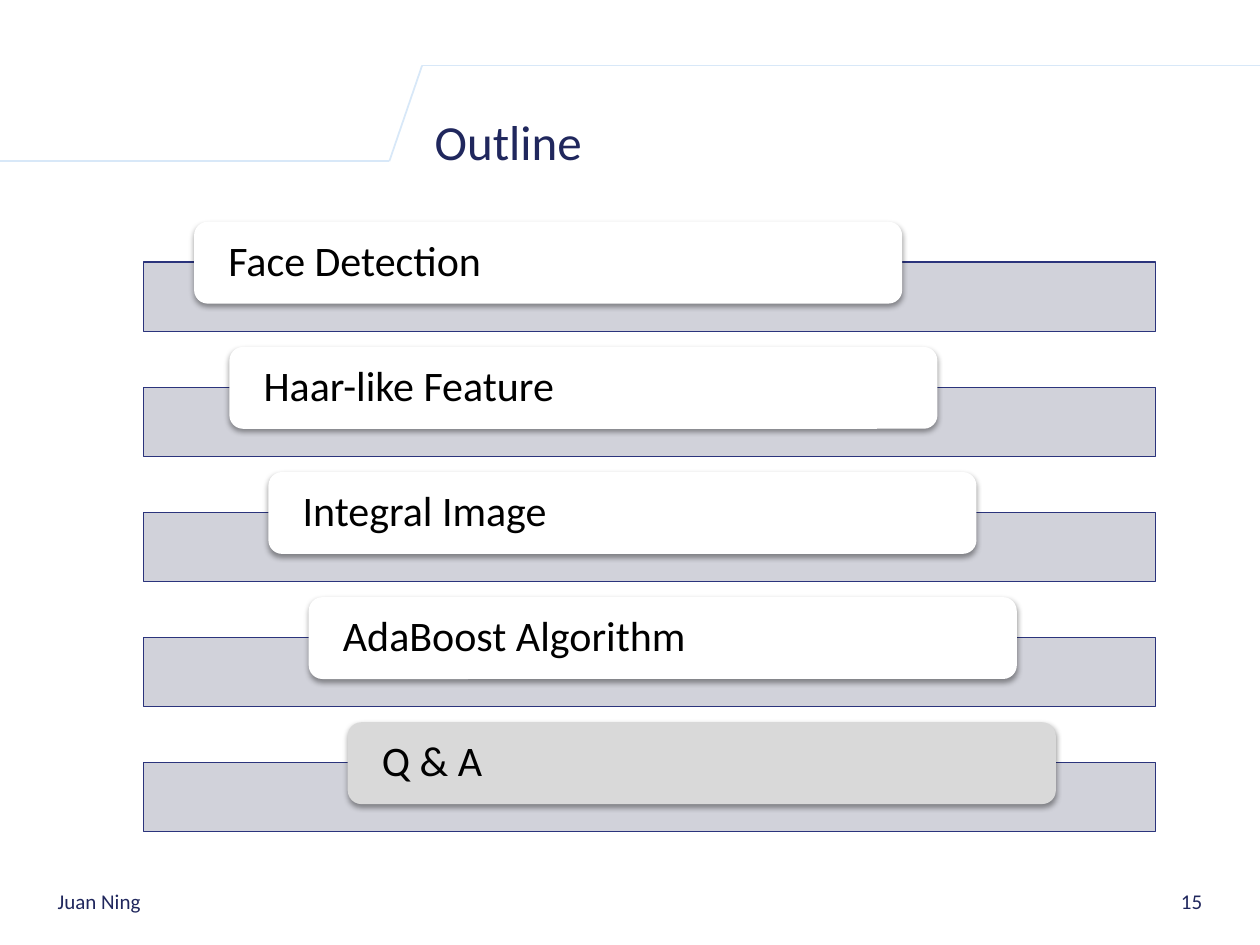
from lxml import etree
from pptx import Presentation
from pptx.dml.color import RGBColor
from pptx.enum.shapes import MSO_CONNECTOR, MSO_SHAPE
from pptx.enum.text import MSO_ANCHOR, PP_ALIGN
from pptx.oxml.ns import qn
from pptx.util import Inches, Pt

LEFT, RIGHT = PP_ALIGN.LEFT, PP_ALIGN.RIGHT
MIDDLE = MSO_ANCHOR.MIDDLE
RECT, ROUND = MSO_SHAPE.RECTANGLE, MSO_SHAPE.ROUNDED_RECTANGLE
STRAIGHT = MSO_CONNECTOR.STRAIGHT

NAVY = RGBColor(0x20, 0x27, 0x5D)
BLUE = RGBColor(0x2B, 0x34, 0x7C)
PALE = RGBColor(0xD8, 0xE8, 0xF8)
BAND = RGBColor(0xCD, 0xCE, 0xD7)
GREY = RGBColor(0xD9, 0xD9, 0xD9)
WHITE = RGBColor(0xFF, 0xFF, 0xFF)
BLACK = RGBColor(0x00, 0x00, 0x00)

RULE = [(0, 1.28), (3.09, 1.28), (3.35, 0.52), (10, 0.52)]
TOPICS = [
    ("Face Detection", 1.54, WHITE),
    ("Haar-like Feature", 1.82, WHITE),
    ("Integral Image", 2.13, WHITE),
    ("AdaBoost Algorithm", 2.45, WHITE),
    ("Q & A", 2.76, GREY),
]
TOP, STEP = 1.76, 0.993


def box(*sizes):
    return [Inches(size) for size in sizes]


def set_all(target, values):
    for name, value in values.items():
        setattr(target, name, value)


def write(shape, text, size, color, align=LEFT, inset=0.1, space=1.0):
    frame = shape.text_frame
    set_all(frame, {
        "text": text, "word_wrap": True, "vertical_anchor": MIDDLE,
        "margin_left": Inches(inset), "margin_right": Inches(inset),
        "margin_top": 0, "margin_bottom": 0,
    })
    para = frame.paragraphs[0]
    set_all(para, {"alignment": align, "line_spacing": space})
    font = para.runs[0].font
    set_all(font, {"size": Pt(size), "name": "Calibri", "bold": False})
    font.color.rgb = color


def add_rule(slide):
    """Draw the stepped line behind the title."""
    for start, end in zip(RULE, RULE[1:]):
        line = slide.shapes.add_connector(STRAIGHT, *box(*start, *end))
        line.line.color.rgb = PALE
        line.line.width = Pt(1)
        etree.SubElement(line._element.spPr, qn("a:effectLst"))


def add_title(slide, text):
    title = slide.shapes.title
    left, top, width, height = box(3.35, 0.76, 6.3, 0.72)
    set_all(title, {"left": left, "top": top, "width": width, "height": height})
    write(title, text, 28, NAVY)


def add_note(slide, text, left, width, align):
    note = slide.shapes.add_textbox(*box(left, 6.95, width, 0.4))
    write(note, text, 12, NAVY, align)


def add_fill(slide, kind, place, color):
    shape = slide.shapes.add_shape(kind, *box(*place))
    shape.fill.solid()
    shape.fill.fore_color.rgb = color
    shape.shadow.inherit = False
    return shape


def add_band(slide, top):
    band = add_fill(slide, RECT, (1.14, top, 8.03, 0.55), BAND)
    band.line.color.rgb = BLUE
    band.line.width = Pt(0.75)
    tint = band._element.spPr.find(qn("a:solidFill"))[0]
    etree.SubElement(tint, qn("a:alpha"), val="90000")


def drop_shadow(shape):
    effects = shape._element.spPr.find(qn("a:effectLst"))
    shadow = etree.SubElement(
        effects, qn("a:outerShdw"), blurRad=str(Pt(3.1)), dist=str(Pt(1.6)),
        dir="5400000", algn="ctr", rotWithShape="0")
    color = etree.SubElement(shadow, qn("a:srgbClr"), val=str(BLACK))
    etree.SubElement(color, qn("a:alpha"), val="38000")


def add_card(slide, text, left, top, color):
    card = add_fill(slide, ROUND, (left, top, 5.62, 0.65), color)
    card.line.fill.background()
    drop_shadow(card)
    write(card, text, 24, BLACK, inset=0.24, space=0.9)


def main():
    deck = Presentation()
    deck.slide_width, deck.slide_height = box(10, 7.5)
    slide = deck.slides.add_slide(deck.slide_layouts[5])
    add_rule(slide)
    add_title(slide, "Outline")
    for row, (text, left, color) in enumerate(TOPICS):
        top = TOP + row * STEP
        add_band(slide, top + 0.32)
        add_card(slide, text, left, top, color)
    add_note(slide, "Juan Ning", 0.36, 5.97, LEFT)
    add_note(slide, "15", 7.44, 2.2, RIGHT)
    deck.save("out.pptx")


if __name__ == "__main__":
    main()
